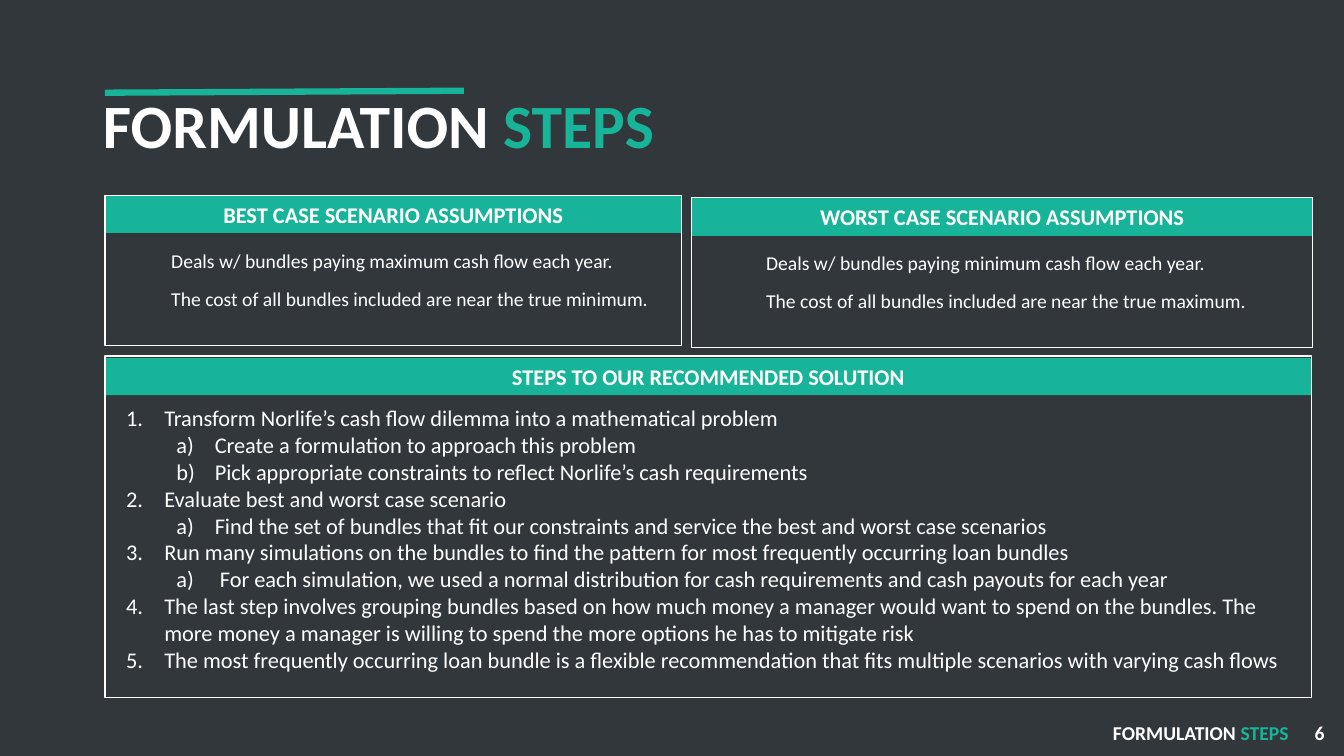
from lxml.etree import SubElement
from pptx import Presentation
from pptx.dml.color import RGBColor
from pptx.enum.shapes import MSO_CONNECTOR, MSO_SHAPE
from pptx.enum.text import MSO_ANCHOR, MSO_AUTO_SIZE, PP_ALIGN
from pptx.oxml.ns import qn
from pptx.util import Inches, Pt

COLORS = {"back": "32373B", "accent": "18B499", "text": "FFFFFF"}
FONT = "Calibri"

SCENARIOS = [
    (1.04, 1.94, 5.72, 0.37, "BEST CASE SCENARIO ASSUMPTIONS", 1.6, 5.03, [
        "Deals w/ bundles paying maximum cash flow each year.",
        "The cost of all bundles included are near the true minimum."]),
    (6.86, 1.96, 6.16, 0.38, "WORST CASE SCENARIO ASSUMPTIONS", 7.5, 5.29, [
        "Deals w/ bundles paying minimum cash flow each year.",
        "The cost of all bundles included are near the true maximum."]),
]
STEPS = [
    (0, "Transform Norlife’s cash flow dilemma into a mathematical problem"),
    (1, "Create a formulation to approach this problem"),
    (1, "Pick appropriate constraints to reflect Norlife’s cash requirements"),
    (0, "Evaluate best and worst case scenario"),
    (1, "Find the set of bundles that fit our constraints and service the best "
        "and worst case scenarios"),
    (0, "Run many simulations on the bundles to find the pattern for most "
        "frequently occurring loan bundles"),
    (1, " For each simulation, we used a normal distribution for cash "
        "requirements and cash payouts for each year"),
    (0, "The last step involves grouping bundles based on how much money a "
        "manager would want to spend on the bundles. The more money a manager "
        "is willing to spend the more options he has to mitigate risk"),
    (0, "The most frequently occurring loan bundle is a flexible recommendation "
        "that fits multiple scenarios with varying cash flows"),
]


def color(name):
    """Return a palette colour."""
    return RGBColor.from_string(COLORS[name])


def place(sp, x, y, w, h):
    """Move and size a shape, in inches."""
    sp.left, sp.top, sp.width, sp.height = map(Inches, (x, y, w, h))


def add_run(p, text, size, name="text", bold=False):
    """Append a formatted run to a paragraph."""
    r = p.add_run()
    r.text = text
    r.font.name, r.font.size, r.font.bold = FONT, Pt(size), bold
    r.font.color.rgb = color(name)


def add_text(s, x, y, w, h, runs, size, bold=False):
    """Add a text box holding one paragraph of (text, colour) runs."""
    tf = s.shapes.add_textbox(*map(Inches, (x, y, w, h))).text_frame
    tf.word_wrap = True
    for text, name in runs:
        add_run(tf.paragraphs[0], text, size, name, bold)


def add_rect(s, x, y, w, h):
    """Add a rectangle without shadow, fill or line."""
    sp = s.shapes.add_shape(MSO_SHAPE.RECTANGLE, *map(Inches, (x, y, w, h)))
    sp.shadow.inherit = False
    sp.fill.background()
    sp.line.fill.background()
    return sp


def add_header(s, x, y, w, h, text):
    """Add a filled panel header."""
    sp = add_rect(s, x, y, w, h)
    sp.fill.solid()
    sp.fill.fore_color.rgb = color("accent")
    tf = sp.text_frame
    tf.vertical_anchor = MSO_ANCHOR.MIDDLE
    tf.paragraphs[0].alignment = PP_ALIGN.CENTER
    add_run(tf.paragraphs[0], text, 16, bold=True)


def add_frame(s, x, y, w, h):
    """Add a panel outline."""
    sp = add_rect(s, x, y, w, h)
    sp.line.color.rgb = color("text")
    sp.line.width = Pt(1)


def add_title(s):
    """Fill the title and draw the rule above it."""
    sp = s.shapes.title
    place(sp, 0.92, 0.9, 11.5, 1.45)
    tf = sp.text_frame
    tf.auto_size = MSO_AUTO_SIZE.NONE
    tf.vertical_anchor = MSO_ANCHOR.TOP
    p = tf.paragraphs[0]
    p.alignment = PP_ALIGN.LEFT
    p.line_spacing = 0.9
    add_run(p, "FORMULATION ", 44, bold=True)
    add_run(p, "STEPS", 44, "accent", True)
    rule = s.shapes.add_connector(
        MSO_CONNECTOR.STRAIGHT, *map(Inches, (1.04, 0.92, 4.6, 0.9)))
    rule.line.color.rgb = color("accent")
    rule.line.width = Pt(4.5)
    SubElement(rule._element.spPr, qn("a:effectLst"))


def add_steps(s):
    """Fill the body placeholder with the numbered steps."""
    sp = s.placeholders[1]
    place(sp, 1.15, 3.96, 11.74, 3.06)
    tf = sp.text_frame
    tf.auto_size = MSO_AUTO_SIZE.NONE
    for i, (level, text) in enumerate(STEPS):
        p = tf.add_paragraph() if i else tf.paragraphs[0]
        p.level = level
        p.space_before = Pt(0)
        pPr = p._p.get_or_add_pPr()
        pPr.set("marL", str(Inches(0.38 + 0.5 * level)))
        pPr.set("indent", str(Inches(-0.38)))
        kind = ("arabicPeriod", "alphaLcParenR")[level]
        SubElement(pPr, qn("a:buFont"), typeface="+mj-lt")
        SubElement(pPr, qn("a:buAutoNum"), type=kind)
        add_run(p, text, 16)


def main():
    """Build the slide and save it."""
    prs = Presentation()
    prs.slide_width, prs.slide_height = Inches(13.33), Inches(7.5)
    s = prs.slides.add_slide(prs.slide_layouts[1])
    s.background.fill.solid()
    s.background.fill.fore_color.rgb = color("back")
    add_title(s)
    for x, y, w, head, title, text_x, text_w, lines in SCENARIOS:
        add_header(s, x, y, w, head, title)
        add_frame(s, x, y, w, 1.49)
        for i, line in enumerate(lines):
            add_text(s, text_x, y + 0.48 + 0.38 * i, text_w, 0.34,
                     [(line, "text")], 14)
    add_header(s, 1.04, 3.55, 11.97, 0.37, "STEPS TO OUR RECOMMENDED SOLUTION")
    add_frame(s, 1.04, 3.53, 11.97, 3.39)
    add_steps(s)
    add_text(s, 10.94, 7.1, 2.33, 0.34,
             [("FORMULATION ", "text"), ("STEPS", "accent"), ("\t6", "text")],
             14, True)
    prs.save("out.pptx")


if __name__ == "__main__":
    main()
